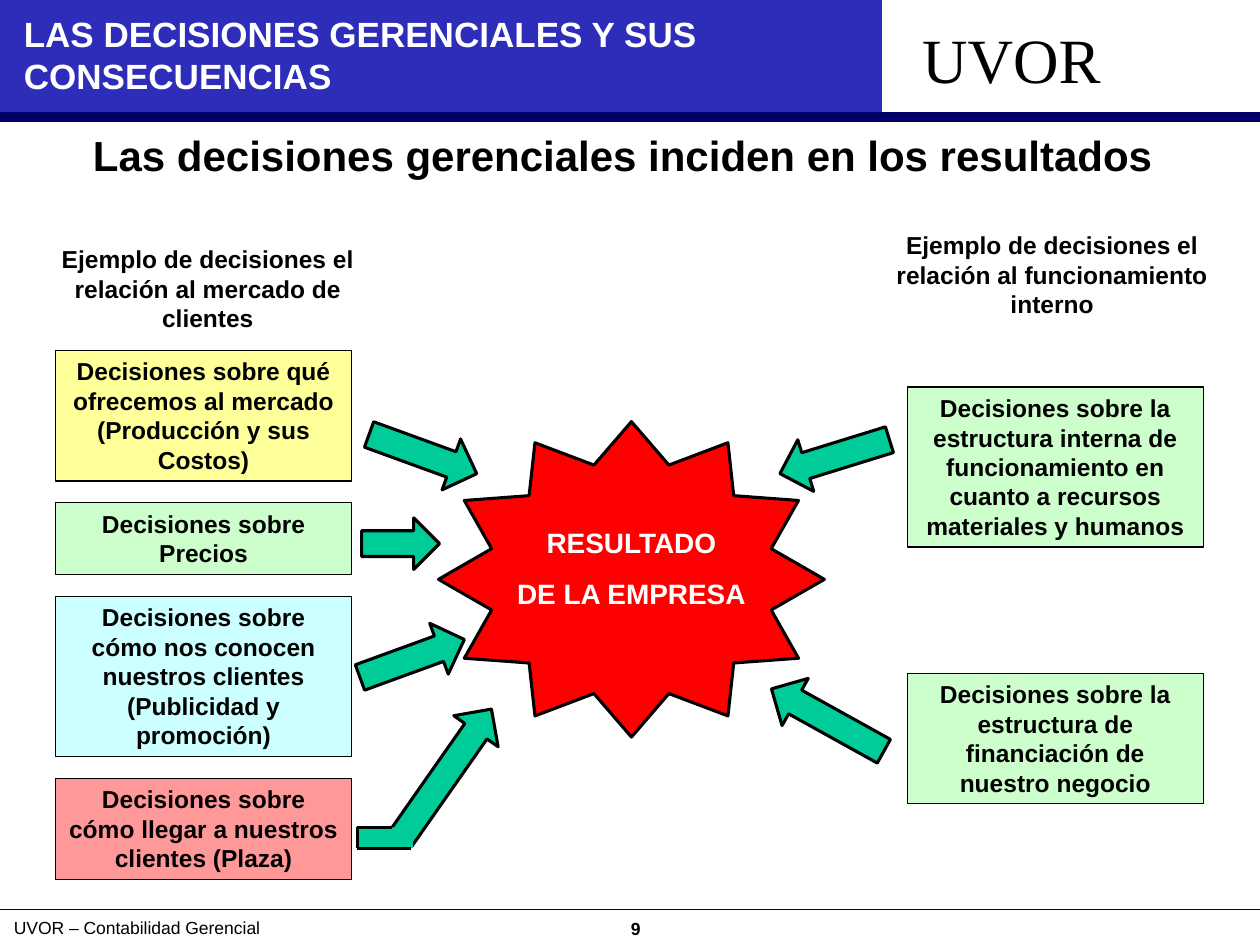
from lxml import etree
from pptx import Presentation
from pptx.dml.color import RGBColor
from pptx.enum import shapes, text
from pptx.oxml.ns import qn
from pptx.util import Cm, Pt

BLACK, WHITE, NAVY, BLUE = "000000", "FFFFFF", "000066", "2D2DB9"
YELLOW, GREEN, CYAN, PINK = "FFFF99", "CCFFCC", "CCFFFF", "FF9999"
TEAL, RED = "00CC99", "FF0000"
CENTER, LEFT = text.PP_ALIGN.CENTER, text.PP_ALIGN.LEFT
KIND = shapes.MSO_SHAPE
LINE_HEIGHT, PADDING = 0.595, 0.255


def color(value):
    return RGBColor.from_string(value)


def write(frame, words, size=14, bold=True, ink=BLACK, align=CENTER,
          font="Arial", anchor=text.MSO_ANCHOR.TOP, before=0, wrap=True):
    frame.word_wrap = wrap
    frame.vertical_anchor = anchor
    for index, line in enumerate(words.split("\n")):
        para = frame.paragraphs[0] if index == 0 else frame.add_paragraph()
        para.alignment = align
        para.space_before = Pt(before)
        span = para.add_run()
        span.text = line
        span.font.size = Pt(size)
        span.font.bold = bold
        span.font.name = font
        span.font.color.rgb = color(ink)


def label(page, box, words, **style):
    write(page.shapes.add_textbox(*map(Cm, box)).text_frame, words, **style)


def block(page, kind, box, fill, width=0, turn=0):
    shape = page.shapes.add_shape(kind, *map(Cm, box))
    shape.shadow.inherit = False
    shape.rotation = turn
    shape.fill.solid()
    shape.fill.fore_color.rgb = color(fill)
    if width:
        shape.line.color.rgb = color(BLACK)
        shape.line.width = Pt(width)
    else:
        shape.line.fill.background()
    return shape


def rule(page, start, end, ink, width):
    line = page.shapes.add_connector(shapes.MSO_CONNECTOR.STRAIGHT,
                                     *map(Cm, start + end))
    line.line.color.rgb = color(ink)
    line.line.width = Pt(width)
    etree.SubElement(line._element.spPr, qn("a:effectLst"))


def header(page, left, top, width, height):
    block(page, KIND.RECTANGLE, (left, top + height, width, 0.2), NAVY)
    block(page, KIND.RECTANGLE, (left, top, width * 0.7, height), BLUE)
    label(page, (left + 0.23, top + 0.13, 17.35, 1.96),
          "LAS DECISIONES GERENCIALES Y SUS CONSECUENCIAS",
          size=20, ink=WHITE, align=LEFT)
    label(page, (left + 18.34, top + 0.28, 4.4, 1.78), "UVOR",
          size=36, bold=False, align=LEFT, font="Times New Roman")


def footer(page, left, top, width, height):
    rule(page, (left, top), (left + width, top), NAVY, 0.75)
    label(page, (left + 0.18, top + 0.05, width - 0.13, height), "9", size=10)
    label(page, (left + 0.03, top + 0.03, 10.36, height),
          "UVOR – Contabilidad Gerencial", size=10, bold=False, align=LEFT)


def decision_column(page, left, top, heading, items, indent, drop, gap):
    label(page, (left, top, 7.42, 2.03), heading)
    y = top + drop
    for words, lines, fill in items:
        height = lines * LINE_HEIGHT + PADDING
        box = block(page, KIND.RECTANGLE, (left + indent, y, 5.97, height), fill, 0.75)
        write(box.text_frame, words)
        y += height + gap


def result_star(page, left, top, width, height):
    star = block(page, KIND.STAR_12_POINT, (left, top, width, height), RED, 1.75)
    frame = star.text_frame
    frame.margin_top, frame.margin_bottom = Cm(0), Cm(0.45)
    write(frame, "RESULTADO\nDE LA EMPRESA", size=16, ink=WHITE,
          anchor=text.MSO_ANCHOR.MIDDLE, before=10, wrap=False)


def arrow(page, left, top, width, height=1.09, turn=0):
    block(page, KIND.RIGHT_ARROW, (left, top, width, height), TEAL, 1.75, turn)


def bent_arrow(page, left, top, width, height):
    base = top + height
    foot = base - 0.42
    arrow(page, left + 0.2, top + 0.45, 3.2, turn=305)
    block(page, KIND.RECTANGLE, (left, foot, 1.14, 0.42), TEAL)
    for start, end in (((left, foot), (left + 0.71, foot)),
                       ((left, base), (left + 1.09, base)),
                       ((left + 0.02, base), (left + 0.02, foot))):
        rule(page, start, end, BLACK, 1.75)


def main():
    deck = Presentation()
    deck.slide_width, deck.slide_height = Cm(25.4), Cm(19.05)
    page = deck.slides.add_slide(deck.slide_layouts[6])
    footer(page, 0, 18.34, 25.4, 0.69)
    header(page, 0, 0, 25.4, 2.26)
    label(page, (0.58, 2.49, 23.95, 1.24),
          "Las decisiones gerenciales inciden en los resultados", size=24)
    decision_column(
        page, 0.48, 4.8, "Ejemplo de decisiones el relación al mercado de clientes",
        [("Decisiones sobre qué ofrecemos al mercado (Producción y sus Costos)", 4, YELLOW),
         ("Decisiones sobre Precios", 2, GREEN),
         ("Decisiones sobre cómo nos conocen nuestros clientes (Publicidad y promoción)",
          5, CYAN),
         ("Decisiones sobre cómo llegar a nuestros clientes (Plaza)", 3, PINK)],
        indent=0.64, drop=2.26, gap=0.44)
    decision_column(
        page, 17.5, 4.52, "Ejemplo de decisiones el relación al funcionamiento interno",
        [("Decisiones sobre la estructura interna de funcionamiento en cuanto a "
          "recursos materiales y humanos", 5, GREEN),
         ("Decisiones sobre la estructura de financiación de nuestro negocio", 4, GREEN)],
        indent=0.79, drop=3.28, gap=2.54)
    result_star(page, 8.84, 8.5, 7.78, 6.36)
    arrow(page, 7.37, 8.61, 2.31, turn=20)
    arrow(page, 7.29, 10.44, 1.57, height=1.04)
    arrow(page, 7.19, 12.73, 2.24, turn=340)
    arrow(page, 15.67, 8.66, 2.31, turn=162.8)
    arrow(page, 15.39, 13.97, 2.59, turn=209)
    bent_arrow(page, 7.19, 14.61, 2.84, 2.49)
    deck.save("out.pptx")


if __name__ == "__main__":
    main()
